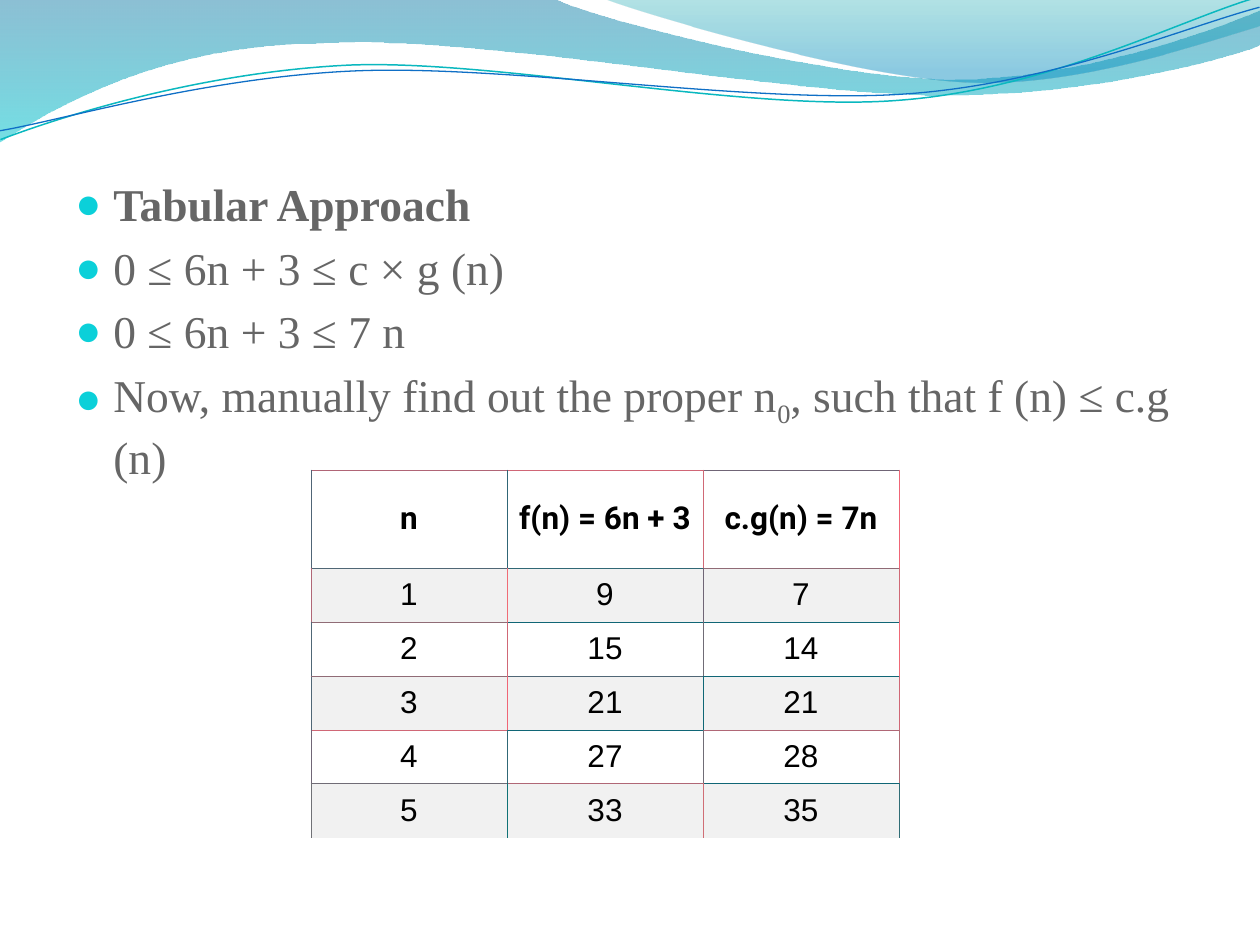
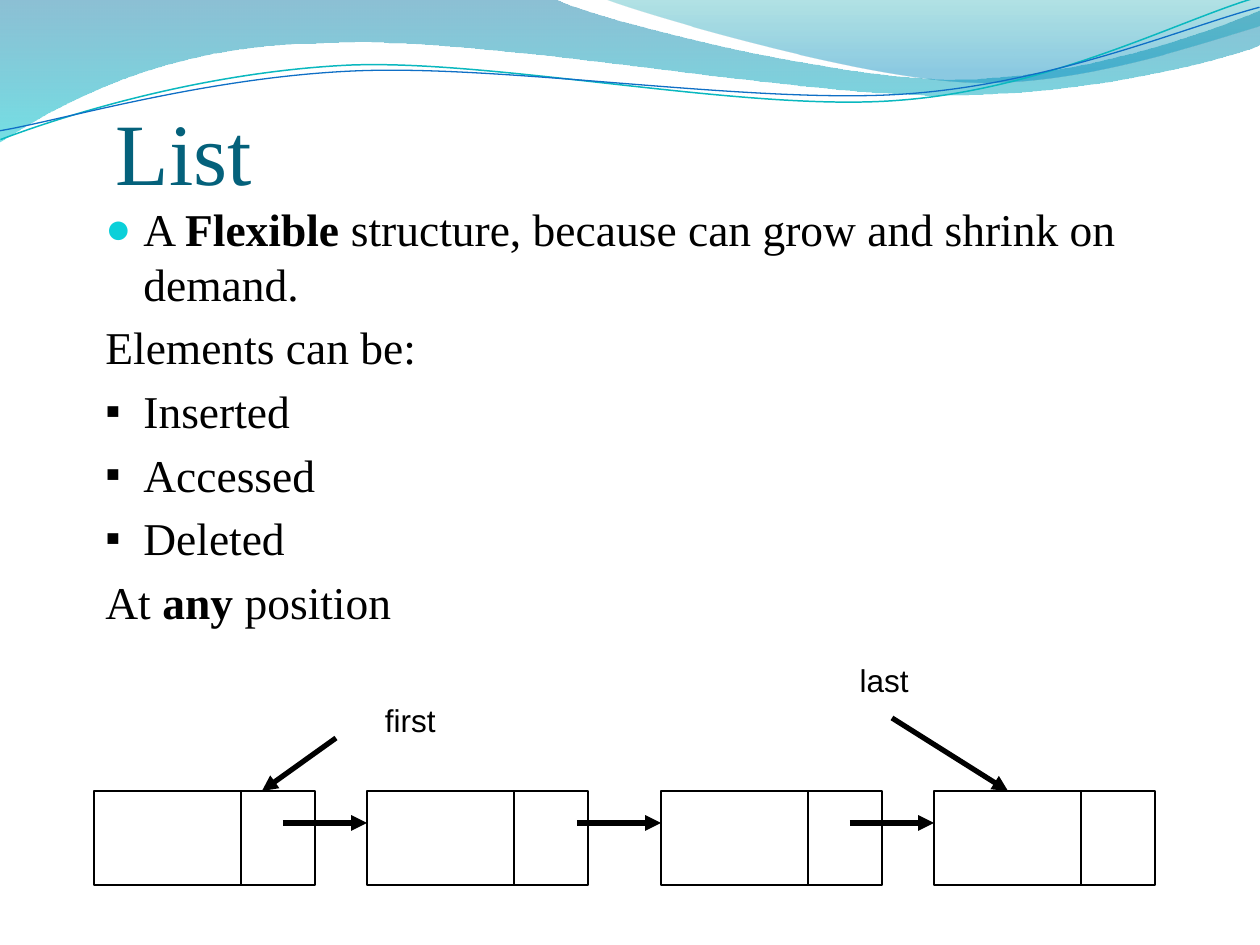
from lxml.etree import SubElement
from pptx import Presentation
from pptx.dml.color import RGBColor
from pptx.enum.shapes import MSO_CONNECTOR, MSO_SHAPE
from pptx.enum.text import MSO_ANCHOR, PP_ALIGN
from pptx.oxml.ns import qn
from pptx.util import Emu, Pt

SCALE = 914400 / 126
SERIF, SANS, HEADER_FONT = "Times New Roman", "Arial", "Roboto"
BLACK, GREY, TITLE_BLUE, BULLET_CYAN = "000000", "666666", "04617B", "0BD0D9"
WHITE, STRIPE = "FFFFFF", "F1F1F1"


def px(*lengths):
    scaled = [Emu(round(length * SCALE)) for length in lengths]
    return scaled if len(scaled) > 1 else scaled[0]


rgb = RGBColor.from_string

prs = Presentation()
prs.slide_width, prs.slide_height = px(1260, 945)
tabular = prs.slides.add_slide(prs.slide_layouts[6])
linked = prs.slides.add_slide(prs.slide_layouts[5])

waves = [
    ((0, -1), [(554, -1), (600, 21, 837, 79, 955, 79), (1075, 79, 1207, 33, 1260, 11),
               (1261, 45), (1239, 55, 1096, 96, 940, 95), (784, 95, 481, 35, 324, 43),
               (163, 44, 58, 105, -1, 142)],
     [(0, "0074A1", 45), (1, "00C6CF", 55)], None),
    ((604, -1), [(641, 14, 859, 78, 969, 82), (1079, 87, 1211, 40, 1260, 26), (1260, 0)],
     [(0, "00A1A9", 30), (0.8, "008BBF", 45)], None),
    ((-2, 110), [(59, 90, 200, 52, 350, 52), (498, 53, 745, 118, 897, 113),
                 (1048, 109, 1184, 45, 1260, 27)], None, ("0AB8BF", 0.85)),
    ((-2, 101), [(58, 94, 207, 57, 357, 58), (508, 59, 751, 110, 902, 107),
                 (1052, 104, 1187, 53, 1262, 37)], None, ("0F6FC6", 0.75)),
]
for order, (start, segments, gradient, stroke) in enumerate(waves):
    points = [pair for segment in segments for pair in zip(segment[::2], segment[1::2])]
    outline = tabular.shapes.build_freeform(*px(*start))
    outline.add_line_segments([px(*point) for point in points], close=gradient is not None)
    wave = outline.convert_to_shape()
    corners = iter(list(wave._element.spPr.iter(qn("a:lnTo"))))
    for segment in segments:
        first = next(corners)
        if len(segment) == 6:
            curve = first.makeelement(qn("a:cubicBezTo"))
            first.addprevious(curve)
            for corner in (first, next(corners), next(corners)):
                curve.append(corner[0])
                corner.getparent().remove(corner)
    wave.shadow.inherit = False
    if gradient:
        wave.line.fill.background()
        wave.fill.gradient()
        wave.fill.gradient_angle = 270
        for stop, (position, colour, _) in zip(wave.fill.gradient_stops, gradient):
            stop.position = position
            stop.color.rgb = rgb(colour)
        for tint, (_, _, opacity) in zip(wave._element.spPr.iter(qn("a:srgbClr")), gradient):
            SubElement(tint, qn("a:alpha"), val=str(opacity * 1000))
    else:
        wave.rotation = 357.3
        wave.fill.background()
        wave.line.color.rgb = rgb(stroke[0])
        wave.line.width = Pt(stroke[1])
    wave._element.nvSpPr.cNvPr.set("id", str(100 + order))
    prs.slide_master.shapes._spTree.insert(2 + order, wave._element)

title = linked.shapes.title
title.left, title.top, title.width, title.height = px(116, 105, 1134, 98)
title.text_frame.text = "List"
title.text_frame.vertical_anchor = MSO_ANCHOR.BOTTOM
title.text_frame.margin_left = title.text_frame.margin_right = title.text_frame.margin_bottom = 0
heading = title.text_frame.paragraphs[0]
heading.alignment = PP_ALIGN.LEFT
heading.font.name, heading.font.size = SERIF, Pt(50)
heading.font.color.rgb = rgb(TITLE_BLUE)

DOT, SQUARE = ("●", BULLET_CYAN), ("▪", BLACK)
bodies = [
    (tabular, (63, 170, 1134, 605), GREY, [
        (DOT, [("Tabular Approach", "bold")]),
        (DOT, [("0 ≤ 6n + 3 ≤ c × g (n)", "")]),
        (DOT, [("0 ≤ 6n + 3 ≤ 7 n", "")]),
        (DOT, [("Now, manually find out the proper n", ""), ("0", "sub"),
               (", such that f (n) ≤ c.g (n)", "")]),
    ]),
    (linked, (93, 195, 1134, 687), BLACK, [
        (DOT, [("A ", ""), ("Flexible ", "bold"),
               ("structure, because can grow and shrink on demand.", "")]),
        (None, [("Elements can be:", "")]),
        (SQUARE, [("Inserted", "")]),
        (SQUARE, [("Accessed", "")]),
        (SQUARE, [("Deleted", "")]),
        (None, [("At ", ""), ("any ", "bold"), ("position", "")]),
    ]),
]
for slide, place, colour, lines in bodies:
    frame = slide.shapes.add_textbox(*px(*place)).text_frame
    frame.word_wrap = True
    for number, (bullet, pieces) in enumerate(lines):
        line = frame.add_paragraph() if number else frame.paragraphs[0]
        if number:
            line.space_before = Pt(5.2)
        props = line._p.get_or_add_pPr()
        props.set("marL", str(px(38)))
        props.set("indent", str(px(-38)))
        if bullet:
            tone = SubElement(props, qn("a:buClr"))
            SubElement(tone, qn("a:srgbClr"), val=bullet[1])
            SubElement(props, qn("a:buSzPct"), val="95000")
            SubElement(props, qn("a:buFont"), typeface=SANS)
            SubElement(props, qn("a:buChar"), char=bullet[0])
        else:
            SubElement(props, qn("a:buNone"))
        for words, style in pieces:
            run = line.add_run()
            run.text = words
            run.font.name, run.font.size = SERIF, Pt(26)
            run.font.color.rgb = rgb(colour)
            run.font.bold = style == "bold"
            if style == "sub":
                run.font._element.set("baseline", "-25000")

growth = [("n", "f(n) = 6n + 3", "c.g(n) = 7n")]
growth += [(str(n), str(6 * n + 3), str(7 * n)) for n in range(1, 6)]
across = [row.split() for row in (
    "B06576 D06676 706576", "506776 306876 906B76", "906C76 106676 106676",
    "906B76 506776 106676", "D06776 106676 B06776", "706C76 B06776 106676",
    "F1F1F1 F1F1F1 F1F1F1")]
down = [row.split() for row in (
    "506576 306676 D06976 F06576", "B06776 F06C76 706676 D06976",
    "506776 D06876 706C76 F06976", "506776 F06676 106776 D06776",
    "706676 306876 706D76 B06D76", "707176 107276 D06E76 306D76")]
comparison = tabular.shapes.add_table(6, 3, *px(311, 470, 588, 368)).table
for column in comparison.columns:
    column.width = px(196)
for r, values in enumerate(growth):
    comparison.rows[r].height = px(54 if r else 98)
    for c, value in enumerate(values):
        cell = comparison.cell(r, c)
        edges = {"L": down[r][c], "R": down[r][c + 1], "T": across[r][c], "B": across[r + 1][c]}
        for side, colour in edges.items():
            edge = SubElement(cell._tc.get_or_add_tcPr(), qn(f"a:ln{side}"), w="6350")
            SubElement(SubElement(edge, qn("a:solidFill")), qn("a:srgbClr"), val=colour)
        cell.fill.solid()
        cell.fill.fore_color.rgb = rgb(STRIPE if r % 2 else WHITE)
        cell.margin_left = cell.margin_right = cell.margin_top = cell.margin_bottom = px(4)
        cell.vertical_anchor = MSO_ANCHOR.MIDDLE
        cell.text_frame.text = value
        entry = cell.text_frame.paragraphs[0]
        entry.alignment = PP_ALIGN.CENTER
        font = entry.runs[0].font
        font.name, font.size, font.bold = (SANS if r else HEADER_FONT), Pt(18), r == 0
        font.color.rgb = rgb(BLACK)

NODE_TOP, NODE_WIDTH, NODE_HEIGHT, DATA_WIDTH, LINK_Y = 791, 221, 94, 147, 823
node_lefts = [94, 367, 661, 934]
strokes = []
for left in node_lefts:
    node = linked.shapes.add_shape(MSO_SHAPE.RECTANGLE, *px(left, NODE_TOP, NODE_WIDTH, NODE_HEIGHT))
    node.shadow.inherit = False
    node.fill.background()
    node.line.color.rgb = rgb(BLACK)
    node.line.width = Pt(0.75)
    divider = left + DATA_WIDTH
    strokes.append((divider, NODE_TOP, divider, NODE_TOP + NODE_HEIGHT, 0.75))
for link_start, next_left in zip((283, 577, 850), node_lefts[1:]):
    strokes.append((link_start, LINK_Y, next_left, LINK_Y, 3))
strokes += [(336, 738, 262, NODE_TOP, 3), (892, 718, 1008, NODE_TOP, 3)]
for *ends, weight in strokes:
    stroke = linked.shapes.add_connector(MSO_CONNECTOR.STRAIGHT, *px(*ends))
    stroke.line.color.rgb = rgb(BLACK)
    stroke.line.width = Pt(weight)
    if weight == 3:
        SubElement(stroke.line._get_or_add_ln(), qn("a:tailEnd"), type="triangle")
    SubElement(stroke._element.spPr, qn("a:effectLst"))

for words, place in (("first", (344, 695, 104, 72)), ("last", (819, 655, 102, 72))):
    pointer = linked.shapes.add_textbox(*px(*place)).text_frame
    pointer.word_wrap = True
    pointer.text = words
    pointer.paragraphs[0].alignment = PP_ALIGN.RIGHT
    font = pointer.paragraphs[0].runs[0].font
    font.name, font.size = SANS, Pt(18)
    font.color.rgb = rgb(BLACK)

prs.save("out.pptx")
